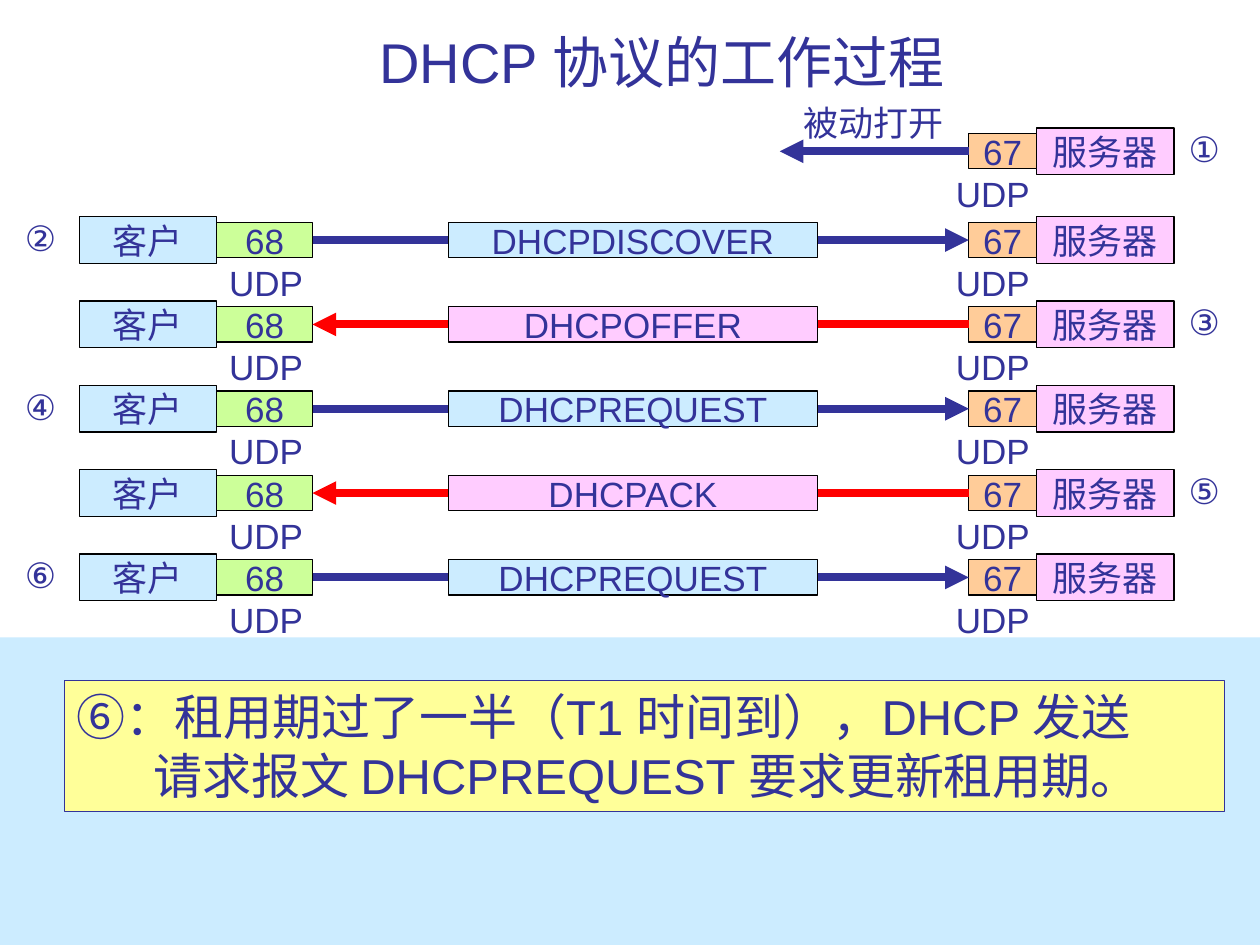
from lxml import etree
from pptx import Presentation
from pptx.dml.color import RGBColor
from pptx.enum.shapes import MSO_CONNECTOR, MSO_SHAPE
from pptx.enum.text import MSO_ANCHOR as ANCHOR, MSO_AUTO_SIZE as FIT, PP_ALIGN as ALIGN
from pptx.oxml.ns import qn
from pptx.util import Cm, Pt

COLORS = {
    "navy": "333399", "red": "FF0000", "black": "000000", "sky": "CCECFF",
    "pink": "FFCCFF", "orange": "FFCC99", "green": "CCFF99", "yellow": "FFFF99",
}
FIRST_Y, PITCH = 4.84, 1.7  # centre of the first exchange, row spacing (cm)
SERVER_START_Y = 3.05
CLIENT_X, CLIENT_PORT_X, MESSAGE_X = 1.6, 4.37, 9.04
SERVER_PORT_X, SERVER_X = 19.53, 20.9
CLIENT_UDP_X, SERVER_UDP_X = 4.37, 19.02
CLIENT_STEP_X, SERVER_STEP_X = 0.25, 23.71
HOST_W, HOST_H, BAR_H = 2.77, 0.94, 0.71

EXCHANGES = [  # step number, message, sent by the client
    ("②", "DHCPDISCOVER", True),
    ("③", "DHCPOFFER", False),
    ("④", "DHCPREQUEST", True),
    ("⑤", "DHCPACK", False),
    ("⑥", "DHCPREQUEST", True),
]
NOTE = [  # text, left margin
    ("⑥：租用期过了一半（T1 时间到），DHCP 发送", 0),
    ("请求报文 DHCPREQUEST 要求更新租用期。", 1.55),
]


def rgb(name):
    return RGBColor.from_string(COLORS[name])


def write(p, text, size, align):
    p.alignment = align
    r = p.add_run()
    r.text = text
    for key, value in {"name": "Arial", "size": Pt(size)}.items():
        setattr(r.font, key, value)
    r.font.color.rgb = rgb("navy")


def add_rect(s, x, y, w, h, fill, line=None):
    sp = s.shapes.add_shape(MSO_SHAPE.RECTANGLE, Cm(x), Cm(y), Cm(w), Cm(h))
    sp.shadow.inherit = False
    sp.fill.solid()
    sp.fill.fore_color.rgb = rgb(fill)
    if line:
        sp.line.color.rgb = rgb(line)
        sp.line.width = Pt(0.75)
    else:
        sp.line.fill.background()
    return sp


def add_box(s, x, mid, w, h, text, fill):
    """Add a labelled rectangle centred on the height mid."""
    sp = add_rect(s, x, mid - h / 2, w, h, fill, "black")
    tf = sp.text_frame
    for key, value in {"word_wrap": False, "vertical_anchor": ANCHOR.MIDDLE}.items():
        setattr(tf, key, value)
    write(tf.paragraphs[0], text, 20, ALIGN.CENTER)
    return sp


def add_label(s, x, y, w, text):
    tf = s.shapes.add_textbox(Cm(x), Cm(y), Cm(w), Cm(1.12)).text_frame
    for key, value in {"word_wrap": False, "auto_size": FIT.SHAPE_TO_FIT_TEXT}.items():
        setattr(tf, key, value)
    write(tf.paragraphs[0], text, 20, ALIGN.LEFT)


def add_arrow(s, x1, x2, y, color):
    cx = s.shapes.add_connector(MSO_CONNECTOR.STRAIGHT, Cm(x1), Cm(y), Cm(x2), Cm(y))
    cx.line.color.rgb = rgb(color)
    cx.line.width = Pt(4.5)
    etree.SubElement(cx.line._get_or_add_ln(), qn("a:tailEnd"), type="triangle")
    etree.SubElement(cx._element.spPr, qn("a:effectLst"))
    return cx


def add_step(s, x, mid, number):
    add_label(s, x, mid - 0.6, 1.14, number)


def add_server(s, mid):
    """Add the server with its port and return the port."""
    add_box(s, SERVER_X, mid, HOST_W, HOST_H, "服务器", "pink")
    add_label(s, SERVER_UDP_X, mid + 0.3, 2.01, "UDP")
    return add_box(s, SERVER_PORT_X, mid, 1.37, BAR_H, "67", "orange")


def add_client(s, mid):
    """Add the client with its port and return the port."""
    add_box(s, CLIENT_X, mid, HOST_W, HOST_H, "客户", "sky")
    add_label(s, CLIENT_UDP_X, mid + 0.3, 2.01, "UDP")
    return add_box(s, CLIENT_PORT_X, mid, 1.93, BAR_H, "68", "green")


def add_exchange(s, mid, number, message, from_client):
    client_port, server_port = add_client(s, mid), add_server(s, mid)
    ends = [(client_port, 3), (server_port, 1)]
    if not from_client:
        ends.reverse()
    arrow = add_arrow(s, 0, 1, mid, "navy" if from_client else "red")
    arrow.begin_connect(*ends[0])
    arrow.end_connect(*ends[1])
    add_box(s, MESSAGE_X, mid, 7.44, BAR_H, message, "sky" if from_client else "pink")
    add_step(s, CLIENT_STEP_X if from_client else SERVER_STEP_X, mid, number)


def add_title(s, text):
    tf = s.shapes.add_textbox(Cm(2.53), Cm(0.53), Cm(21.64), Cm(1.5)).text_frame
    for key, value in {"word_wrap": True, "vertical_anchor": ANCHOR.BOTTOM}.items():
        setattr(tf, key, value)
    write(tf.paragraphs[0], text, 32, ALIGN.CENTER)


def add_passive_open(s):
    port = add_server(s, SERVER_START_Y)
    arrow = add_arrow(s, SERVER_PORT_X, 15.72, SERVER_START_Y, "navy")
    arrow.begin_connect(port, 1)
    add_label(s, 15.95, 1.93, 3.33, "被动打开")
    add_step(s, SERVER_STEP_X, SERVER_START_Y, "①")


def add_note(s):
    add_rect(s, 0, 12.85, 25.4, 6.2, "sky")
    tf = add_rect(s, 1.3, 13.72, 23.39, 2.64, "yellow", "navy").text_frame
    for key, value in {"word_wrap": True, "vertical_anchor": ANCHOR.TOP,
                       "auto_size": FIT.SHAPE_TO_FIT_TEXT}.items():
        setattr(tf, key, value)
    for i, (text, margin) in enumerate(NOTE):
        p = tf.add_paragraph() if i else tf.paragraphs[0]
        p._p.get_or_add_pPr().set("marL", str(Cm(margin)))
        write(p, text, 28, ALIGN.JUSTIFY)


def main():
    prs = Presentation()
    prs.slide_width, prs.slide_height = Cm(25.4), Cm(19.05)
    s = prs.slides.add_slide(prs.slide_layouts[6])
    add_title(s, "DHCP 协议的工作过程")
    add_passive_open(s)
    for i, exchange in enumerate(EXCHANGES):
        add_exchange(s, FIRST_Y + i * PITCH, *exchange)
    add_note(s)
    prs.save("out.pptx")


if __name__ == "__main__":
    main()
